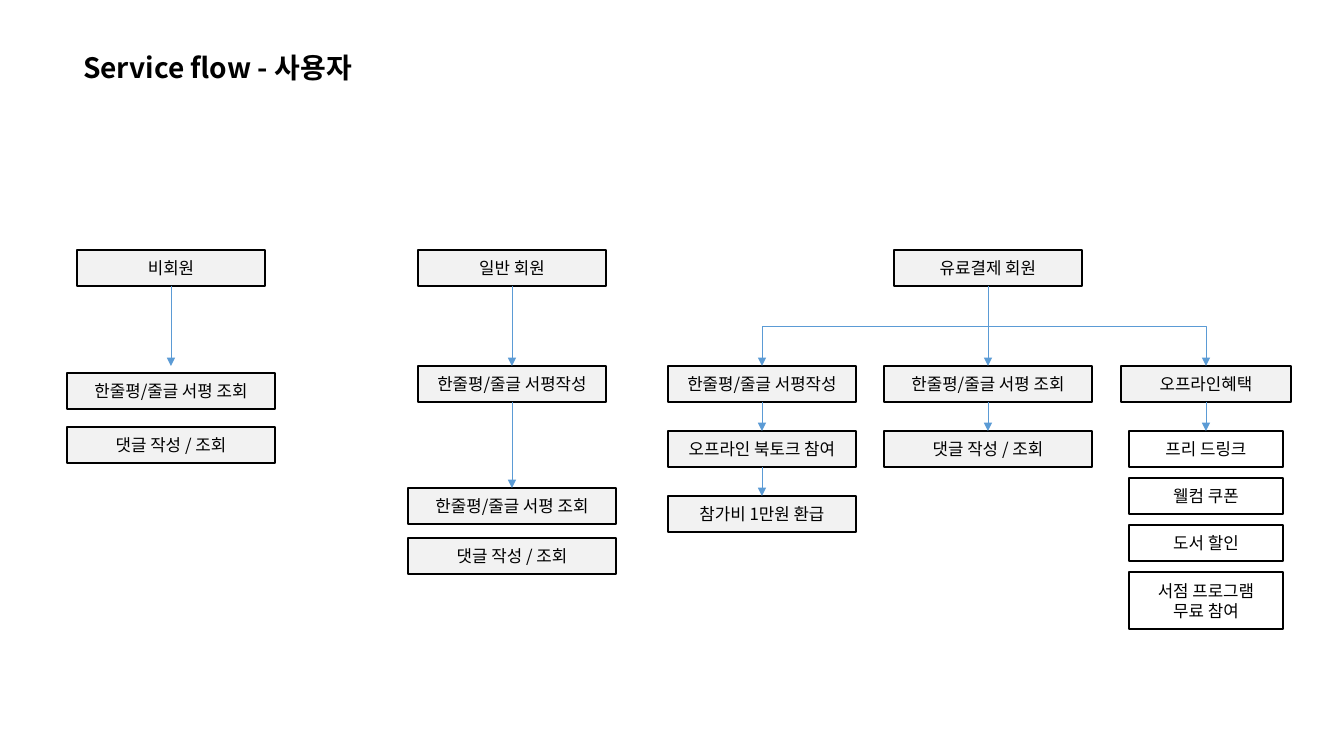
from dataclasses import dataclass

from pptx import Presentation
from pptx.dml.color import RGBColor
from pptx.enum.shapes import MSO_CONNECTOR as LINK, MSO_SHAPE as SHAPE
from pptx.enum.text import MSO_ANCHOR as ANCHOR, MSO_AUTO_SIZE as FIT, PP_ALIGN as ALIGN
from pptx.oxml.ns import qn
from pptx.oxml.xmlchemy import OxmlElement as Node
from pptx.util import Emu, Pt

FONT = "Noto Sans CJK KR"
BLACK, WHITE, GREY, BLUE = "000000", "FFFFFF", "F2F2F2", "5B9BD5"
GUEST, MEMBER, WRITE, READ, OFFLINE = 171, 512, 762, 988, 1206  # column centres
MID, WIDE, SLIM = 188, 208, 154  # box widths
HEAD, FIRST, STEP = 250, 366, 65  # top row, second row, distance of later rows
PERK, PITCH = FIRST + STEP, 47  # first benefit and distance of the next ones


def px(count: float) -> Emu:
    """Turn pixels into EMU."""
    return Emu(round(count * 914400 / 100.8))


def color(code: str) -> RGBColor:
    """Turn a hex string into a colour."""
    return RGBColor.from_string(code)


@dataclass
class Box:
    """One step of the flow, placed by its centre and top."""
    text: str
    mid: int
    top: int
    width: int = MID
    fill: str = GREY
    height: int = 36


@dataclass
class Arrow:
    """A link between two named boxes; stop ends it short of the second."""
    start: str
    end: str
    stop: int | None = None


POST, VIEW, TALK = "한줄평/줄글 서평작성", "한줄평/줄글 서평 조회", "댓글 작성 / 조회"

BOXES = {
    "guest": Box("비회원", GUEST, HEAD),
    "guest view": Box(VIEW, GUEST, 373, WIDE),
    "guest talk": Box(TALK, GUEST, 427, WIDE),
    "member": Box("일반 회원", MEMBER, HEAD),
    "member post": Box(POST, MEMBER, FIRST),
    "member view": Box(VIEW, MEMBER, 488, WIDE),
    "member talk": Box(TALK, MEMBER, 538, WIDE),
    "paid": Box("유료결제 회원", READ, HEAD),
    "paid post": Box(POST, WRITE, FIRST),
    "book talk": Box("오프라인 북토크 참여", WRITE, FIRST + STEP),
    "refund": Box("참가비 1만원 환급", WRITE, FIRST + 2 * STEP),
    "paid view": Box(VIEW, READ, FIRST, WIDE),
    "paid talk": Box(TALK, READ, FIRST + STEP, WIDE),
    "offline": Box("오프라인혜택", OFFLINE, FIRST, 170),
    "drink": Box("프리 드링크", OFFLINE, PERK, SLIM, WHITE),
    "coupon": Box("웰컴 쿠폰", OFFLINE, PERK + PITCH, SLIM, WHITE),
    "sale": Box("도서 할인", OFFLINE, PERK + 2 * PITCH, SLIM, WHITE),
    "program": Box("서점 프로그램\n무료 참여", OFFLINE, PERK + 3 * PITCH, SLIM, WHITE, 57),
}

ARROWS = [
    Arrow("guest", "guest view", FIRST),
    Arrow("member", "member post"),
    Arrow("member post", "member view"),
    Arrow("paid", "offline"),
    Arrow("paid", "paid post"),
    Arrow("paid", "paid view"),
    Arrow("paid post", "book talk"),
    Arrow("book talk", "refund"),
    Arrow("paid view", "paid talk"),
    Arrow("offline", "drink"),
]


def write(frame, text: str, size: int, align: ALIGN, bold: bool = False) -> None:
    """Fill a text frame, one paragraph and run a line."""
    frame.word_wrap = True
    for index, line in enumerate(text.split("\n")):
        para = frame.add_paragraph() if index else frame.paragraphs[0]
        para.alignment = align
        run = para.add_run()
        run.text = line
        font = run.font
        font.name, font.size, font.bold = FONT, Pt(size), bold
        font.color.rgb = color(BLACK)
        asian = Node("a:ea")
        asian.set("typeface", FONT)
        font._element.find(qn("a:latin")).addnext(asian)


def draw_box(slide, box: Box):
    """Draw a box and return its shape."""
    left = box.mid - box.width / 2
    shape = slide.shapes.add_shape(
        SHAPE.RECTANGLE, px(left), px(box.top), px(box.width), px(box.height))
    shape.shadow.inherit = False
    shape.fill.solid()
    shape.fill.fore_color.rgb = color(box.fill)
    shape.line.color.rgb = color(BLACK)
    shape.line.width = Pt(1)
    shape.text_frame.vertical_anchor = ANCHOR.MIDDLE
    write(shape.text_frame, box.text, 12, ALIGN.CENTER)
    return shape


def turn(link, shift: int, drop: int) -> None:
    """Turn an elbow so that it leaves downwards."""
    mid_x = link.left + link.width // 2
    mid_y = link.top + link.height // 2
    link.width, link.height = px(drop), px(abs(shift))
    link.left, link.top = mid_x - link.width // 2, mid_y - link.height // 2
    frame = link._element.spPr.find(qn("a:xfrm"))
    frame.set("rot", str((270 if shift > 0 else 90) * 60000))
    frame.set("flipH", "1" if shift > 0 else "0")


def draw_arrow(slide, arrow: Arrow, shapes: dict) -> None:
    """Join two boxes with an arrow, bent if they are in different columns."""
    start, end = BOXES[arrow.start], BOXES[arrow.end]
    base, stop = start.top + start.height, arrow.stop or end.top
    shift = end.mid - start.mid
    kind = LINK.ELBOW if shift else LINK.STRAIGHT
    link = slide.shapes.add_connector(
        kind, px(start.mid), px(base), px(end.mid), px(stop))
    link.begin_connect(shapes[arrow.start], 2)
    if arrow.stop is None:
        link.end_connect(shapes[arrow.end], 0)
    if shift:
        turn(link, shift, stop - base)
    link.line.color.rgb = color(BLUE)
    link.line.width = Pt(0.5)
    tip = Node("a:tailEnd")
    tip.set("type", "triangle")
    link.line._get_or_add_ln().append(tip)
    link._element.spPr.append(Node("a:effectLst"))


def draw_title(slide, text: str) -> None:
    """Place and fill the title."""
    title = slide.shapes.title
    title.left, title.top, title.width, title.height = map(px, (73, 45, 506, 44))
    title.text_frame.auto_size = FIT.NONE
    title.text_frame.vertical_anchor = ANCHOR.TOP
    write(title.text_frame, text, 20, ALIGN.LEFT, bold=True)


def main() -> None:
    """Build the slide and save it."""
    deck = Presentation()
    deck.slide_width, deck.slide_height = px(1344), px(756)
    slide = deck.slides.add_slide(deck.slide_layouts.get_by_name("Title Only"))
    draw_title(slide, "Service flow - 사용자")
    shapes = {name: draw_box(slide, box) for name, box in BOXES.items()}
    for arrow in ARROWS:
        draw_arrow(slide, arrow, shapes)
    deck.save("out.pptx")


main()
